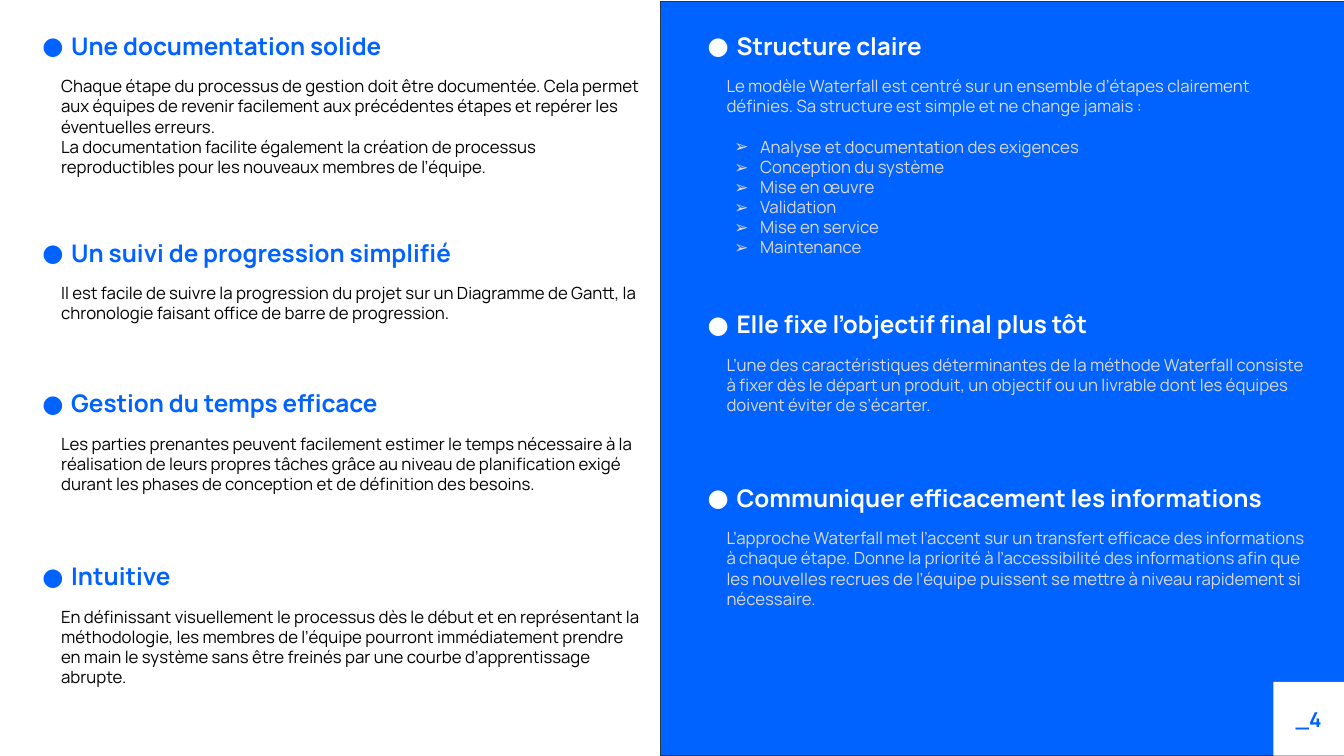
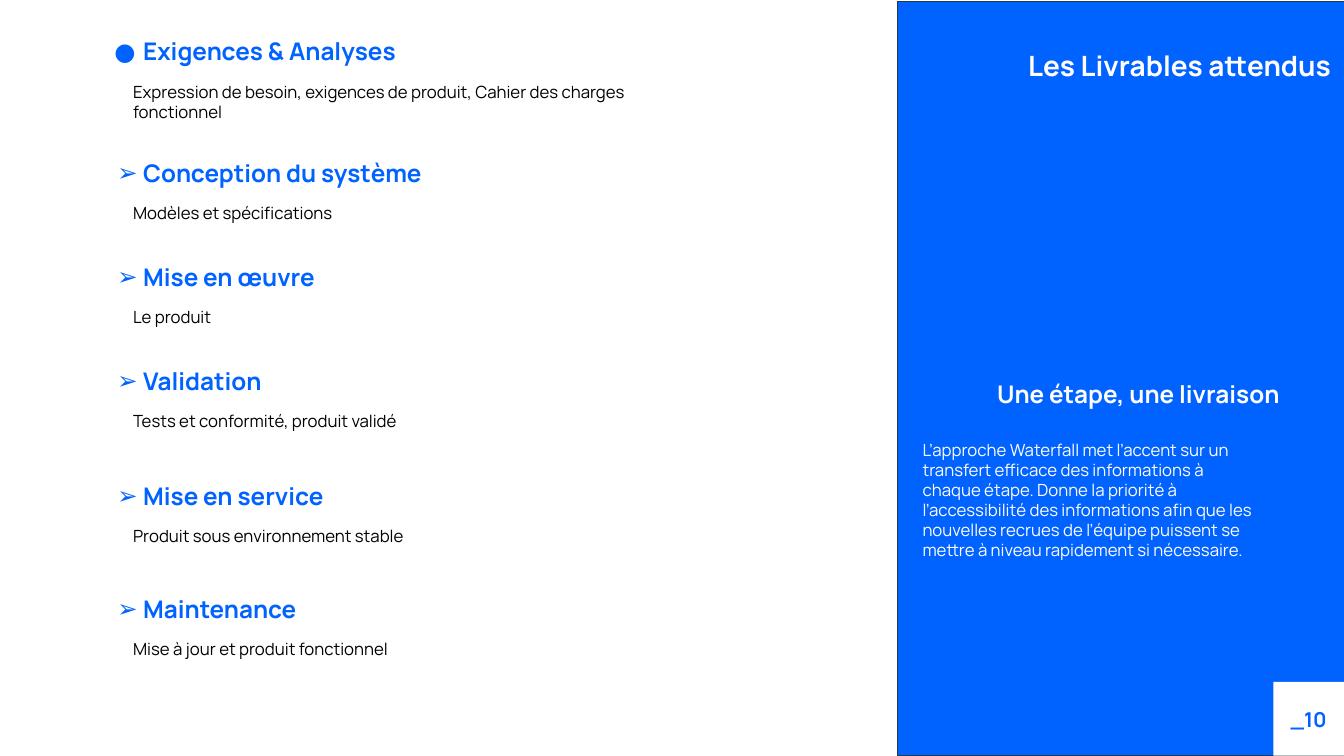
import lxml.etree
import pptx
import pptx.dml.color
import pptx.enum.shapes
import pptx.enum.text
import pptx.oxml.ns
import pptx.util
from pptx.util import Cm

COLORS = {"blue": "0062FF", "white": "FFFFFF", "grey": "DADADA", "black": "000000", "edge": "233A44"}
FONT = "Manrope"
HEADING_SIZE, BODY_SIZE = 26, 18
HEADING_WIDTH, HEADING_HEIGHT, BODY_WIDTH = 22.9, 2.79, 22
BODY_SHIFT, BODY_DROP = 0.89, 1.7
DOT, ARROW = "●", "➢"
INDENTS = {DOT: (1.27, -1.09), ARROW: (1.27, -0.97), None: (0, 0)}
ALIGN = pptx.enum.text.PP_ALIGN


def rgb(name):
    return pptx.dml.color.RGBColor.from_string(COLORS[name])


def add_text(slide, holder, box, lines, size, color, bold=False, bullet=None, align=ALIGN.LEFT):
    left, top, width, height = [Cm(length) for length in box]
    if holder is None:
        holder = slide.shapes.add_textbox(left, top, width, height)
    holder.left, holder.top, holder.width, holder.height = left, top, width, height
    frame = holder.text_frame
    frame.word_wrap = True
    frame.auto_size = pptx.enum.text.MSO_AUTO_SIZE.NONE
    frame.vertical_anchor = pptx.enum.text.MSO_ANCHOR.TOP
    frame.margin_left = frame.margin_top = frame.margin_right = frame.margin_bottom = 0
    frame.text = "\n".join(lines)
    previous = bullet
    for paragraph in frame.paragraphs:
        mark = ARROW if paragraph.text in steps else bullet
        properties = paragraph._p.get_or_add_pPr()
        margin, indent = INDENTS[mark]
        properties.set("marL", str(Cm(margin)))
        properties.set("indent", str(Cm(indent)))
        qualify = pptx.oxml.ns.qn
        if mark:
            bullet_color = lxml.etree.SubElement(properties, qualify("a:buClr"))
            lxml.etree.SubElement(bullet_color, qualify("a:srgbClr"), val=COLORS[color])
            lxml.etree.SubElement(properties, qualify("a:buFont"), typeface=FONT)
            lxml.etree.SubElement(properties, qualify("a:buChar"), char=mark)
        else:
            lxml.etree.SubElement(properties, qualify("a:buNone"))
        paragraph.alignment = align
        paragraph.line_spacing = 1.0
        paragraph.space_before = pptx.util.Pt(21.6 if mark != previous else 0)
        paragraph.space_after = pptx.util.Pt(0)
        paragraph.font.name = FONT
        paragraph.font.size = pptx.util.Pt(size)
        paragraph.font.bold = bold
        paragraph.font.color.rgb = rgb(color)
        previous = mark


def add_block(slide, box, fill):
    block = slide.shapes.add_shape(
        pptx.enum.shapes.MSO_SHAPE.RECTANGLE, *[Cm(length) for length in box])
    block.shadow.inherit = False
    block.fill.solid()
    block.fill.fore_color.rgb = rgb(fill)
    block.line.fill.background()
    return block


steps = [
    "Analyse et documentation des exigences",
    "Conception du système",
    "Mise en œuvre",
    "Validation",
    "Mise en service",
    "Maintenance",
]
information = (
    "L’approche Waterfall met l’accent sur un transfert efficace des informations à chaque étape. "
    "Donne la priorité à l’accessibilité des informations afin que les nouvelles recrues de l’équipe "
    "puissent se mettre à niveau rapidement si nécessaire.")

structure_sections = [
    (1.17, 7.04, "Structure claire", [
        "Le modèle Waterfall est centré sur un ensemble d’étapes clairement définies. "
        "Sa structure est simple et ne change jamais :", *steps]),
    (11.71, 2.97, "Elle fixe l’objectif final plus tôt", [
        "L’une des caractéristiques déterminantes de la méthode Waterfall consiste à fixer dès le départ "
        "un produit, un objectif ou un livrable dont les équipes doivent éviter de s’écarter."]),
    (18.26, 3.51, "Communiquer efficacement les informations", [information]),
]
benefit_sections = [
    (1.17, 4.27, "Une documentation solide", [
        "Chaque étape du processus de gestion doit être documentée. Cela permet aux équipes de revenir "
        "facilement aux précédentes étapes et repérer les éventuelles erreurs.",
        "La documentation facilite également la création de processus reproductibles pour les nouveaux "
        "membres de l’équipe."]),
    (8.99, 1.98, "Un suivi de progression simplifié", [
        "Il est facile de suivre la progression du projet sur un Diagramme de Gantt, la chronologie "
        "faisant office de barre de progression."]),
    (14.68, 3.51, "Gestion du temps efficace", [
        "Les parties prenantes peuvent facilement estimer le temps nécessaire à la réalisation de leurs "
        "propres tâches grâce au niveau de planification exigé durant les phases de conception et de "
        "définition des besoins."]),
    (21.23, 3.51, "Intuitive", [
        "En définissant visuellement le processus dès le début et en représentant la méthodologie, les "
        "membres de l’équipe pourront immédiatement prendre en main le système sans être freinés par "
        "une courbe d’apprentissage abrupte."]),
]
deliverables = [
    "Expression de besoin, exigences de produit, Cahier des charges fonctionnel",
    "Modèles et spécifications",
    "Le produit",
    "Tests et conformité, produit validé",
    "Produit sous environnement stable",
    "Mise à jour et produit fonctionnel",
]
phases = ["Exigences & Analyses", *steps[1:]]
phase_tops = [1.37, 5.97, 9.91, 13.84, 18.19, 22.45]
deliverable_sections = [
    (top, 1.83 if top == phase_tops[0] else 1.27, phase, [deliverable])
    for top, phase, deliverable in zip(phase_tops, phases, deliverables)
]

pages = [
    {"number": "_4", "panel_left": 24.97, "title": None, "columns": [
        (26.57, "white", "grey", structure_sections),
        (1.42, "blue", "black", benefit_sections)]},
    {"number": "_10", "panel_left": 33.93, "title": "Les Livrables attendus", "columns": [
        (4.14, "blue", "black", deliverable_sections)]},
]

presentation = pptx.Presentation()
presentation.slide_width, presentation.slide_height = Cm(50.8), Cm(28.58)
comparison_layout = presentation.slide_layouts[4]

for page in pages:
    slide = presentation.slides.add_slide(comparison_layout)
    title, *body_placeholders = slide.placeholders
    titles, bodies = iter([title]), iter(body_placeholders)

    panel = add_block(slide, (page["panel_left"], 0.05, 50.8 - page["panel_left"], 28.52), "blue")
    panel.line.color.rgb = rgb("edge")
    panel.line.width = pptx.util.Pt(0.75)
    slide.shapes.element.insert(2, panel.element)

    if page["title"]:
        add_text(slide, next(titles), (37.69, 1.85, 12.62, 1.65), [page["title"]],
                 30, "white", bold=True, align=ALIGN.RIGHT)
        add_text(slide, None, (37.69, 14.33, 11.91, 1.5), ["Une étape, une livraison"],
                 HEADING_SIZE, "white", bold=True)
        add_text(slide, next(bodies), (34.87, 16.61, 12.47, 6.81), [information], BODY_SIZE, "white")

    for left, heading_color, body_color, sections in page["columns"]:
        for top, height, heading, lines in sections:
            add_text(slide, next(titles, None), (left, top, HEADING_WIDTH, HEADING_HEIGHT), [heading],
                     HEADING_SIZE, heading_color, bold=True, bullet=DOT)
            add_text(slide, next(bodies, None), (left + BODY_SHIFT, top + BODY_DROP, BODY_WIDTH, height),
                     lines, BODY_SIZE, body_color)

    number_box = add_block(slide, (48.13, 25.78, 2.67, 2.79), "white")
    frame = number_box.text_frame
    frame.vertical_anchor = pptx.enum.text.MSO_ANCHOR.MIDDLE
    frame.word_wrap = True
    frame.margin_left = frame.margin_right = Cm(0.25)
    frame.text = page["number"]
    paragraph = frame.paragraphs[0]
    paragraph.alignment = ALIGN.CENTER
    paragraph.font.name = FONT
    paragraph.font.size = pptx.util.Pt(22)
    paragraph.font.bold = True
    paragraph.font.color.rgb = rgb("blue")

presentation.save("out.pptx")
